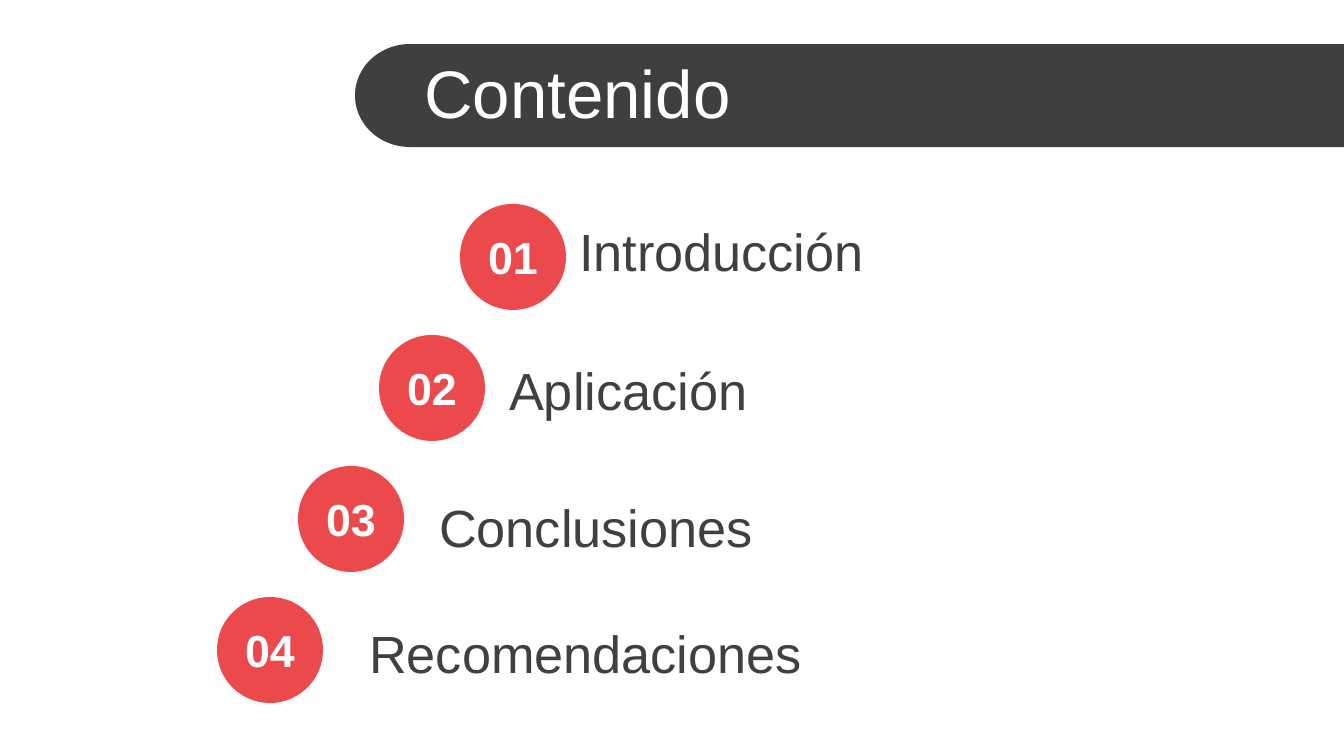
from math import cos, pi, sin

from pptx import Presentation
from pptx.dml.color import RGBColor
from pptx.enum.shapes import MSO_SHAPE
from pptx.enum.text import MSO_ANCHOR, MSO_AUTO_SIZE, PP_ALIGN
from pptx.util import Emu, Pt

PX_PER_INCH = 134.4
EMU_PER_PX = 914400 / PX_PER_INCH
PAGE_WIDTH, PAGE_HEIGHT = 1344, 756

CHARCOAL = RGBColor(0x3F, 0x3F, 0x3F)
GRAY = RGBColor(0x40, 0x40, 0x40)
RED = RGBColor(0xEB, 0x49, 0x4B)
WHITE = RGBColor(0xFF, 0xFF, 0xFF)

TITLE_FORMAT = {"name": "Arial", "size": Pt(36)}
LABEL_FORMAT = {"name": "Arial", "size": Pt(28)}
NUMBER_FORMAT = {"name": "Arial", "size": Pt(24), "bold": True}

# Each topic with the top of its label
TOPICS = [
    ("Introducción", 212),
    ("Aplicación", 351),
    ("Conclusiones", 488),
    ("Recomendaciones", 614),
]
CIRCLE_LEFT, CIRCLE_TOP, CIRCLE_SIZE = 460, 204, 106
CIRCLE_STEP_X, CIRCLE_STEP_Y = -81, 131
LABEL_LEFT, LABEL_STEP_X = 566, -70


def px(length):
    return Emu(round(length * EMU_PER_PX))


def paint(shape, color):
    shape.shadow.inherit = False
    shape.fill.solid()
    shape.fill.fore_color.rgb = color
    shape.line.fill.background()


def add_text(page, text, bounds, font_format, color, align=PP_ALIGN.LEFT):
    box = page.shapes.add_textbox(*map(px, bounds))
    frame_format = {
        "word_wrap": True,
        "auto_size": MSO_AUTO_SIZE.NONE,
        "vertical_anchor": MSO_ANCHOR.MIDDLE,
    }
    for name, value in frame_format.items():
        setattr(box.text_frame, name, value)
    para = box.text_frame.paragraphs[0]
    para.alignment = align
    span = para.add_run()
    span.text = text
    for name, value in font_format.items():
        setattr(span.font, name, value)
    span.font.color.rgb = color


def add_title_bar(page, left, top, height, cap_width, steps=48):
    """Draw a bar with a rounded left end that runs to the page edge."""
    radius = height / 2
    cap = []
    for step in range(steps + 1):
        angle = pi * step / steps
        x = left + cap_width * (1 - sin(angle))
        y = top + radius * (1 + cos(angle))
        cap.append((px(x), px(y)))
    builder = page.shapes.build_freeform(px(PAGE_WIDTH), px(top))
    builder.add_line_segments([(px(PAGE_WIDTH), px(top + height)), *cap])
    paint(builder.convert_to_shape(), CHARCOAL)


def add_number_circle(page, number, left, top):
    bounds = (left, top, CIRCLE_SIZE, CIRCLE_SIZE)
    circle = page.shapes.add_shape(MSO_SHAPE.OVAL, *map(px, bounds))
    paint(circle, RED)
    text_bounds = (left, top + 19, CIRCLE_SIZE, 67)
    add_text(page, f"{number:02}", text_bounds, NUMBER_FORMAT, WHITE, PP_ALIGN.CENTER)


def main():
    deck = Presentation()
    deck.slide_width, deck.slide_height = px(PAGE_WIDTH), px(PAGE_HEIGHT)
    page = deck.slides.add_slide(deck.slide_layouts[6])

    add_title_bar(page, left=355, top=44, height=103, cap_width=55)
    add_text(page, "Contenido", (411, 50, 933, 84), TITLE_FORMAT, WHITE)

    for index, (topic, label_top) in enumerate(TOPICS):
        add_number_circle(
            page,
            index + 1,
            CIRCLE_LEFT + index * CIRCLE_STEP_X,
            CIRCLE_TOP + index * CIRCLE_STEP_Y,
        )
        label_left = LABEL_LEFT + index * LABEL_STEP_X
        add_text(page, topic, (label_left, label_top, 677, 77), LABEL_FORMAT, GRAY)

    deck.save("out.pptx")


if __name__ == "__main__":
    main()
